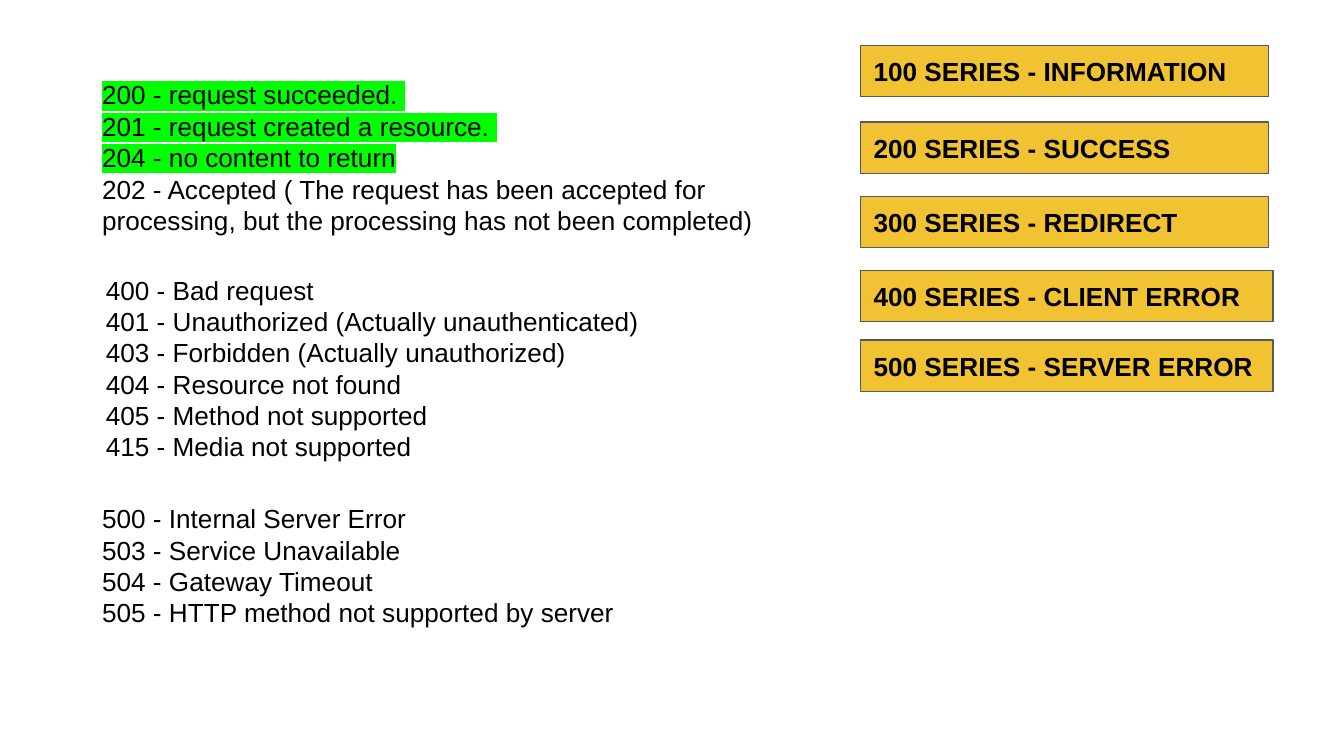
from lxml.etree import SubElement as SubElem
from pptx import Presentation as Deck
from pptx.dml.color import RGBColor as Color
from pptx.enum.shapes import MSO_SHAPE as Shape
from pptx.enum.text import MSO_ANCHOR as Anchor, MSO_AUTO_SIZE as Fit, PP_ALIGN as Align
from pptx.oxml.ns import qn
from pptx.util import Cm, Pt

HUES = {"gold": "F1C232", "edge": "595959", "ink": "000000", "mark": "00FF00"}
INSET = Cm(0.25)

LABELS = [  # top, width, text
    (0.86, 7.72, "100 SERIES - INFORMATION"),
    (2.31, 7.72, "200 SERIES - SUCCESS"),
    (3.71, 7.72, "300 SERIES - REDIRECT"),
    (5.11, 7.8, "400 SERIES - CLIENT ERROR"),
    (6.43, 7.8, "500 SERIES - SERVER ERROR"),
]

LISTS = [  # left, top, width, height, count of marked lines, lines
    (1.68, 1.24, 13.79, 3.51, 3, [
        "200 - request succeeded. ",
        "201 - request created a resource. ",
        "204 - no content to return",
        "202 - Accepted ( The request has been accepted for processing, "
        "but the processing has not been completed) ",
    ]),
    (1.75, 4.93, 14, 4.11, 0, [
        "400 - Bad request ",
        "401 - Unauthorized (Actually unauthenticated)",
        "403 - Forbidden (Actually unauthorized)",
        "404 - Resource not found",
        "405 - Method not supported",
        "415 - Media not supported",
    ]),
    (1.68, 9.25, 14.15, 2.9, 0, [
        "500 - Internal Server Error",
        "503 - Service Unavailable",
        "504 - Gateway Timeout",
        "505 - HTTP method not supported by server",
    ]),
]


def hue(name):
    """Return the named colour."""
    return Color.from_string(HUES[name])


def set_frame(frame, anchor):
    """Set wrapping, insets and anchor of a text frame."""
    frame.word_wrap = True
    frame.vertical_anchor = anchor
    frame.margin_left = frame.margin_right = INSET
    frame.margin_top = frame.margin_bottom = INSET


def add_run(para, text, bold=False, marked=False):
    """Add one run of text, with a highlight if marked."""
    para.alignment = Align.LEFT
    run = para.add_run()
    run.text = text
    font = run.font
    font.size, font.bold = Pt(14), bold
    font.color.rgb = hue("ink")
    if marked:
        light = SubElem(run._r.get_or_add_rPr(), qn("a:highlight"))
        SubElem(light, qn("a:srgbClr")).set("val", HUES["mark"])
    font.name = "Arial"


def add_label(slide, top, width, text):
    """Add a gold box that names a status series."""
    box = slide.shapes.add_shape(
        Shape.RECTANGLE, Cm(16.26), Cm(top), Cm(width), Cm(0.97))
    box.shadow.inherit = False
    box.fill.solid()
    box.fill.fore_color.rgb = hue("gold")
    box.line.color.rgb = hue("edge")
    box.line.width = Pt(0.75)
    set_frame(box.text_frame, Anchor.MIDDLE)
    add_run(box.text_frame.paragraphs[0], text, bold=True)


def add_list(slide, left, top, width, height, marks, lines):
    """Add a list of codes whose first lines may be marked."""
    box = slide.shapes.add_textbox(Cm(left), Cm(top), Cm(width), Cm(height))
    frame = box.text_frame
    set_frame(frame, Anchor.TOP)
    frame.auto_size = Fit.SHAPE_TO_FIT_TEXT
    for i, line in enumerate(lines):
        para = frame.add_paragraph() if i else frame.paragraphs[0]
        add_run(para, line, marked=i < marks)


def main():
    """Build the slide and save it."""
    deck = Deck()
    deck.slide_width, deck.slide_height = Cm(25.4), Cm(14.29)
    slide = deck.slides.add_slide(deck.slide_layouts[6])
    for label in LABELS:
        add_label(slide, *label)
    for block in LISTS:
        add_list(slide, *block)
    deck.save("out.pptx")


main()
